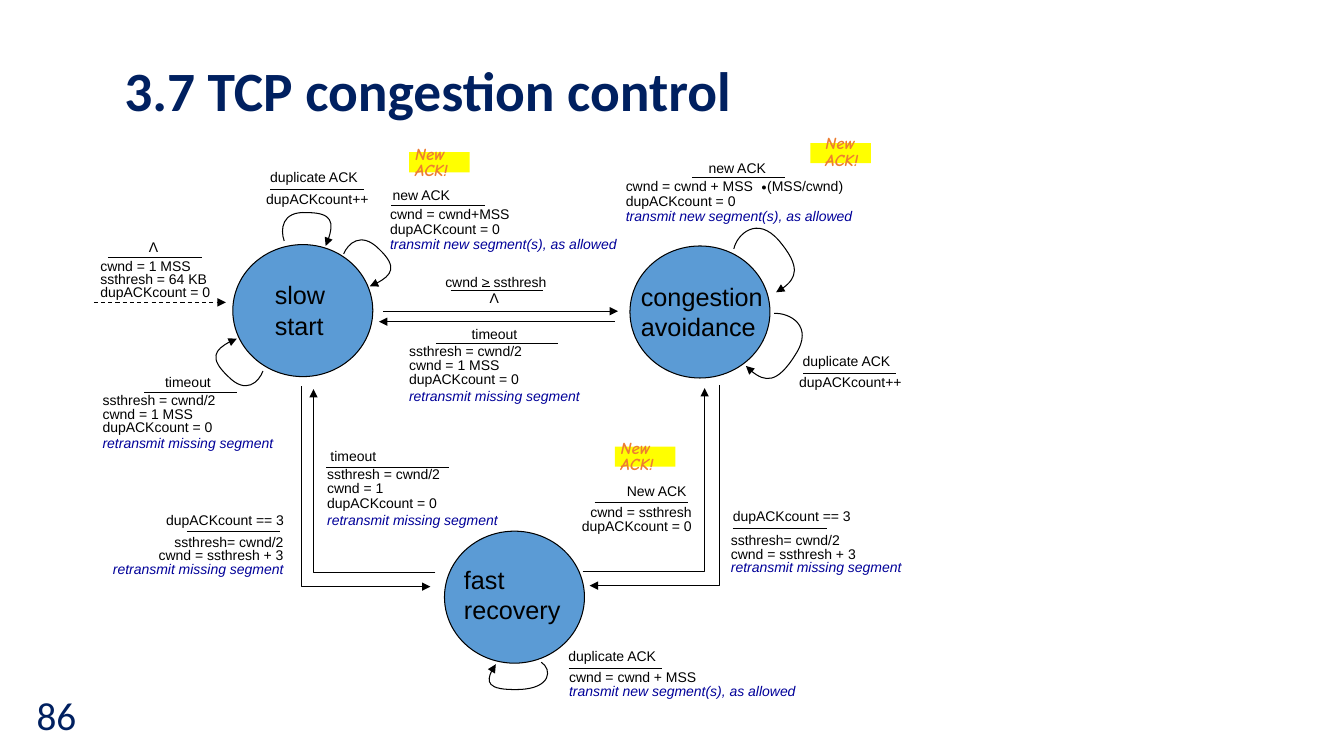
from lxml.etree import SubElement
from pptx import Presentation
from pptx.dml.color import RGBColor
from pptx.enum.dml import MSO_LINE
from pptx.enum.shapes import MSO_CONNECTOR, MSO_SHAPE
from pptx.enum.text import MSO_ANCHOR, MSO_AUTO_SIZE, PP_ALIGN
from pptx.oxml.ns import qn
from pptx.util import Pt

L, R = PP_ALIGN.LEFT, PP_ALIGN.RIGHT
SMALL = dict(size=Pt(10), name="Arial")
STATE = dict(size=Pt(18), name="Arial")
NOTE = dict(size=Pt(12), name="Comic Neue", bold=True, italic=True)


def add_text(box, lines, fmt, color="000000", align=L, spacing=None, wrap=False,
             anchor=MSO_ANCHOR.TOP, last_gap=0):
    tf = s.shapes.add_textbox(*map(Pt, box)).text_frame
    tf.word_wrap = wrap
    tf.auto_size = MSO_AUTO_SIZE.NONE if wrap else MSO_AUTO_SIZE.SHAPE_TO_FIT_TEXT
    tf.vertical_anchor = anchor
    for i, line in enumerate(lines):
        p = tf.paragraphs[0] if i == 0 else tf.add_paragraph()
        p.alignment = align
        if spacing:
            p.line_spacing = spacing
        if last_gap and i == len(lines) - 1:
            p.space_before = Pt(last_gap)
        if "\t" in line:
            tabs = SubElement(p._p.get_or_add_pPr(), qn("a:tabLst"))
            SubElement(tabs, qn("a:tab"), pos=str(Pt(101)), algn="l")
        r = p.add_run()
        r.text = line
        for key, value in fmt.items():
            setattr(r.font, key, value)
        sending = "transmit" in line
        r.font.color.rgb = RGBColor.from_string("000099" if sending else color)
        if sending:
            r.font.italic = True


def style_line(shape, arrow=False, dashed=False):
    shape.line.width = Pt(0.75)
    shape.line.color.rgb = RGBColor.from_string("000000")
    if dashed:
        shape.line.dash_style = MSO_LINE.DASH
    if arrow:
        SubElement(shape.line._get_or_add_ln(), qn("a:tailEnd"), type="triangle")
    SubElement(shape._element.spPr, qn("a:effectLst"))


prs = Presentation()
prs.slide_width, prs.slide_height = Pt(960), Pt(540)
s = prs.slides.add_slide(prs.slide_layouts[6])

# Title and slide number
add_text((81.7, 41.5, 825, 50), ["3.7 TCP congestion control"],
         dict(size=Pt(39.6), name="Calibri", bold=True), "002060",
         spacing=0.9, wrap=True, anchor=MSO_ANCHOR.MIDDLE)
add_text((0, 481.7, 61.6, 58.3), ["86"], dict(size=Pt(28), name="Calibri"), "002060",
         align=R, wrap=True, anchor=MSO_ANCHOR.MIDDLE)

# States: circle position, text box, name
states = [
    ((450, 175.7), (450.7, 197.3, 101.5, 50.4), ["congestion", "avoidance"]),
    ((317.5, 379.4), (324.3, 399.6, 88.6, 50.4), ["fast", "recovery"]),
    ((166.3, 174.7), (189.2, 196.2, 55.4, 50.4), ["slow", "start"]),
]
for (x, y), box, name in states:
    sp = s.shapes.add_shape(MSO_SHAPE.OVAL, Pt(x), Pt(y), Pt(100), Pt(94.3))
    sp.fill.solid()
    sp.fill.fore_color.rgb = RGBColor.from_string("5B9BD5")
    style_line(sp)
    add_text(box, name, STATE)

# Transition labels: event and its box, bar (x1, x2, y), actions and their box
RESET = ["cwnd = 1 MSS", "dupACKcount = 0", "retransmit missing segment"]
HALVE = ["ssthresh= cwnd/2", "cwnd = ssthresh + 3", "retransmit missing segment"]
SEND = "transmit new segment(s), as allowed"
labels = [
    ("timeout", (329.8, 229, 50), (311.4, 398.4, 245.5),
     ["ssthresh = cwnd/2", *RESET], (285.1, 242.8, 137, 50.4), 0.85, L),
    ("cwnd > ssthresh", (311, 191.5, 86.4), (321.8, 388.1, 207.2),
     ["Λ"], (342.7, 205.9, 21.6, 16.6), 0.8, L),
    ("new ACK", (499, 110.2, 56.2), (494.2, 560.9, 126.7),
     ["cwnd = cwnd + MSS\t(MSS/cwnd)", "dupACKcount = 0", SEND],
     (439.9, 124.6, 176.4, 51.1), 0.9, L),
    ("duplicate ACK", (566.2, 248.4, 77.8), (573.8, 640.1, 267.1),
     ["dupACKcount++"], (563.8, 265.7, 87.8, 28), 0.8, L),
    ("duplicate ACK", (398.9, 458.9, 77.8), (406.1, 473, 477.2),
     ["cwnd = cwnd + MSS", SEND], (399.4, 475.9, 176.4, 39.6), 0.85, L),
    ("dupACKcount == 3", (111.6, 361.9, 98.6), (133.4, 200.2, 380),
     HALVE, (73.4, 379.7, 136.1, 47.5), 0.8, R),
    ("timeout", (229, 316.1, 50), (233.1, 320.4, 334.1),
     ["ssthresh = cwnd/2", "cwnd = 1", *RESET[1:]], (226.6, 330.9, 137, 50.4), 0.85, L),
    ("dupACKcount == 3", (516.4, 359.3, 98.6), (523.4, 590.4, 377.3),
     HALVE, (515, 378.5, 136.1, 47.5), 0.8, L),
    ("New ACK", (439.9, 340.9, 57.6), (424.8, 491.8, 358.6),
     ["cwnd = ssthresh", "dupACKcount = 0"], (408.2, 358.6, 92.9, 47.5), 0.8, R),
    ("timeout", (110.9, 263.1, 50), (103, 169.2, 280.6),
     ["ssthresh = cwnd/2", *RESET], (66.2, 278.6, 137, 47.5), 0.8, L),
    ("new ACK", (273.4, 129.6, 56.2), (279.4, 346.3, 146.9),
     ["cwnd = cwnd+MSS", "dupACKcount = 0", SEND], (271.6, 144.7, 176.4, 51.1), 0.9, L),
    ("duplicate ACK", (185.8, 116.6, 77.8), (193, 259.9, 135.6),
     ["dupACKcount++"], (183.1, 134.6, 87.8, 28), 0.8, L),
    ("Λ", (99.2, 166.5, 21.6), (77, 144, 184.1),
     ["cwnd = 1 MSS", "ssthresh = 64 KB", "dupACKcount = 0"],
     (64.6, 182.4, 92.9, 36), 0.8, L),
]
# Straight lines: x1, x2, y, arrow, dashed
lines = [
    (439.2, 270.7, 229.8, True, False),
    (273.6, 441.4, 222.3, True, False),
    (67, 161.3, 216, True, True),
    (344.2, 349.9, 204.9, False, False),  # lower stroke of "at least"
]
for event, event_box, bar, actions, box, spacing, align in labels:
    add_text((*event_box, 19.4), [event], SMALL, align=R if event == "New ACK" else L)
    add_text(box, actions, SMALL, align=align, spacing=spacing,
             last_gap=2 if len(actions) == 4 else 0)
    lines.append((*bar, False, False))
add_text((535.7, 108, 20.2, 36), ["."], dict(size=Pt(24), name="Times New Roman"))

for x1, x2, y, arrow, dashed in lines:
    c = s.shapes.add_connector(MSO_CONNECTOR.STRAIGHT, Pt(x1), Pt(y), Pt(x2), Pt(y))
    style_line(c, arrow, dashed)

# Arrows between states that turn a corner
elbows = [
    [(215.3, 275.8), (215.3, 419), (307.4, 419)],
    [(311, 409), (223.9, 409), (223.9, 277.9)],
    [(514.1, 275), (514.1, 418.3), (421.2, 418.3)],
    [(416.2, 408.2), (503.3, 408.2), (503.3, 277.2)],
]

# Self-loops: start point, then two cubic curves of three points each
loops = [
    [(524.2, 177.8), (526.3, 167.8), (540.7, 153.4), (556.6, 172.1),
     (572.4, 190.8), (568.1, 201.6), (554.4, 208.8)],
    [(553, 223.9), (563.8, 223.2), (581.8, 232.6), (568.1, 253.4),
     (555.1, 274.3), (543.6, 272.9), (532.8, 261.4)],
    [(386.6, 473), (394.6, 478.1), (393.8, 491.8), (370.8, 492.5),
     (347, 493.2), (347, 483.8), (354.2, 474.5)],
    [(203, 172.1), (200.2, 164.2), (200.9, 150.5), (219.6, 151.9),
     (237.6, 151.9), (239, 161.3), (232.6, 175.7)],
    [(245.5, 181.4), (248.4, 174.2), (257.8, 164.9), (270.7, 177.8),
     (284.4, 190.8), (278.6, 198.7), (264.2, 204.5)],
    [(187.9, 265), (185, 272.9), (175.7, 282.2), (162.7, 268.6),
     (149, 255.6), (154.8, 247.7), (169.2, 241.9)],
]

for points in elbows + loops:
    start, *rest = [(Pt(x), Pt(y)) for x, y in points]
    fb = s.shapes.build_freeform(*start)
    fb.add_line_segments(rest, close=False)
    sp = fb.convert_to_shape()
    sp.fill.background()
    style_line(sp, arrow=True)
    if points in loops:  # every three line steps become one cubic curve
        steps = list(sp._element.iter(qn("a:lnTo")))
        outline = steps[0].getparent()
        for i in range(0, len(steps), 3):
            curve = SubElement(outline, qn("a:cubicBezTo"))
            for step in steps[i:i + 3]:
                curve.append(step[0])
                outline.remove(step)

# Yellow "New ACK!" notes: rectangle position, text position
for mark, note in [((439.2, 319), (436.3, 312)), ((292.3, 108.7), (289.4, 102)),
                   ((578.9, 102.2), (582.5, 94.3))]:
    sp = s.shapes.add_shape(MSO_SHAPE.RECTANGLE, *map(Pt, (*mark, 43.2, 14.4)))
    sp.fill.solid()
    sp.fill.fore_color.rgb = RGBColor.from_string("FFFF00")
    sp.line.fill.background()
    sp.shadow.inherit = False
    add_text((*note, 49.7, 30.2), ["New", "ACK!"], NOTE, "ED7D31", spacing=0.8, wrap=True)

prs.save("out.pptx")
